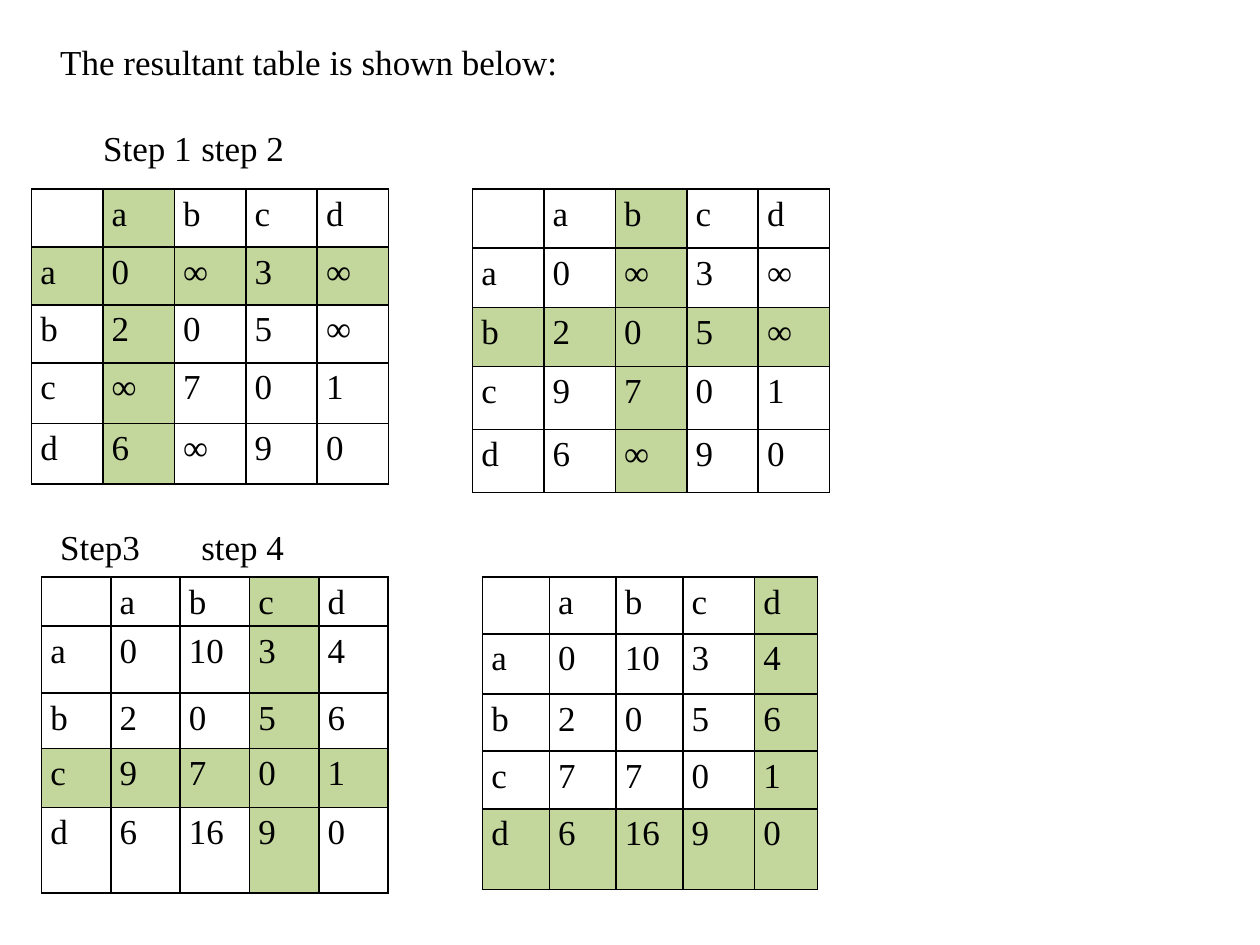
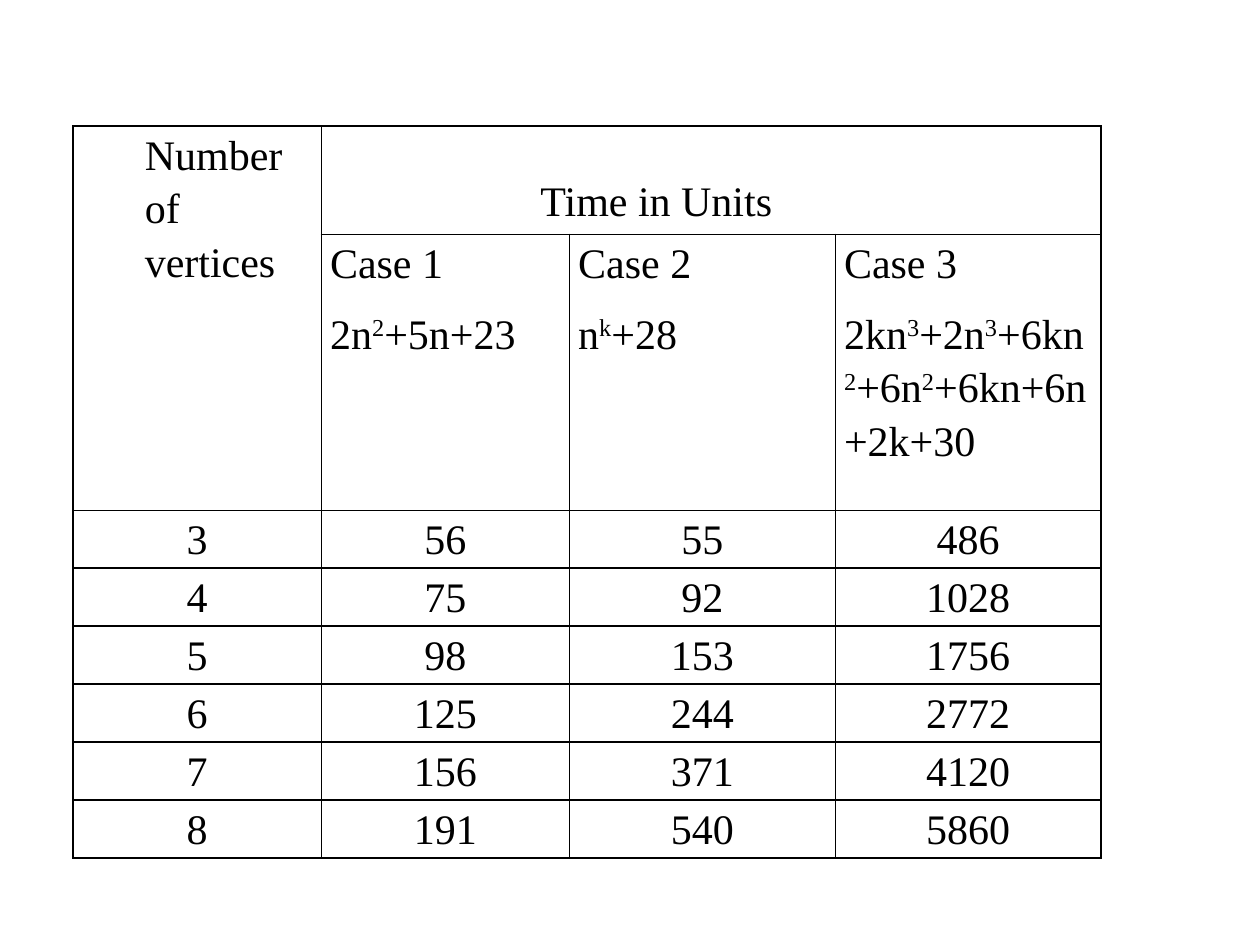
from dataclasses import dataclass

import lxml.etree
import pptx
import pptx.dml.color
import pptx.enum.text
import pptx.oxml
import pptx.oxml.ns
import pptx.util

Inches = pptx.util.Inches
Pt = pptx.util.Pt
Align = pptx.enum.text.PP_ALIGN
qn = pptx.oxml.ns.qn


@dataclass(frozen=True)
class Theme:
    font: str = "Times New Roman"
    ink: str = "000000"
    highlight: str = "C3D69B"
    step_size: int = 20
    timing_size: int = 24
    border: float = 1
    leading: float = 1.15
    cell_inset: float = 0.07


THEME = Theme()


def write(paragraph, pieces, size):
    for position, piece in enumerate(pieces):
        run = paragraph.add_run()
        run.text = piece
        run.font.name = THEME.font
        run.font.size = Pt(size)
        run.font.color.rgb = pptx.dml.color.RGBColor.from_string(THEME.ink)
        if position % 2:
            run._r.get_or_add_rPr().set("baseline", "30000")


def indent(paragraph, margin=0, first=0, tab=None):
    properties = paragraph._p.get_or_add_pPr()
    properties.set("marL", str(Inches(margin)))
    properties.set("indent", str(Inches(first)))
    if tab:
        stops = lxml.etree.SubElement(properties, qn("a:tabLst"))
        lxml.etree.SubElement(stops, qn("a:tab"), pos=str(Inches(tab)), algn="l")


def outline(cell):
    properties = cell._tc.get_or_add_tcPr()
    for side in "LRTB":
        edge = lxml.etree.SubElement(
            properties, qn(f"a:ln{side}"), w=str(Pt(THEME.border)))
        paint = lxml.etree.SubElement(edge, qn("a:solidFill"))
        lxml.etree.SubElement(paint, qn("a:srgbClr"), val=THEME.ink)


def ruled_table(slide, left, top, widths, heights):
    table = slide.shapes.add_table(
        len(heights), len(widths), Inches(left), Inches(top),
        Inches(sum(widths)), Inches(sum(heights))).table
    table.first_row = table.horz_banding = False
    for column, width in zip(table.columns, widths):
        column.width = Inches(width)
    for row, height in zip(table.rows, heights):
        row.height = Inches(height)
    for cell in table.iter_cells():
        cell.margin_left = cell.margin_right = Inches(THEME.cell_inset)
        cell.margin_top = cell.margin_bottom = 0
        outline(cell)
        cell.fill.background()
    return table


def fill_cell(cell, lines, size, align, after=0):
    frame = cell.text_frame
    for position, pieces in enumerate(lines):
        paragraph = frame.add_paragraph() if position else frame.paragraphs[0]
        paragraph.alignment = align
        paragraph.line_spacing = THEME.leading
        paragraph.space_after = Pt(after)
        write(paragraph, pieces, size)
    return frame.paragraphs[0]


def distance_table(slide, left, top, widths, heights, distances, pivot):
    vertices = "abcd"
    table = ruled_table(slide, left, top, widths, heights)
    grid = [["", *vertices]]
    grid += [[vertex, *row.split()] for vertex, row in zip(vertices, distances)]
    for r, row in enumerate(grid):
        for c, value in enumerate(row):
            cell = table.cell(r, c)
            if value:
                fill_cell(cell, [[value]], THEME.step_size, Align.JUSTIFY)
            if pivot in (r, c):
                cell.fill.solid()
                cell.fill.fore_color.rgb = pptx.dml.color.RGBColor.from_string(
                    THEME.highlight)


def captions(slide, left, top, width, height, lines):
    frame = slide.shapes.add_textbox(
        Inches(left), Inches(top), Inches(width), Inches(height)).text_frame
    frame.word_wrap = True
    frame.margin_top = Inches(0.09)
    for position, (text, first, tab, before) in enumerate(lines):
        paragraph = frame.add_paragraph() if position else frame.paragraphs[0]
        paragraph.space_before = Pt(before)
        indent(paragraph, first=first, tab=tab)
        write(paragraph, [text], THEME.step_size)


def steps_slide(slide):
    captions(slide, 0, 0.23, 10, 1.45, [
        ("The resultant table is shown below:", 0.38, None, 0),
        ("Step 1\tstep 2", 0.72, 4.2, 25),
    ])
    captions(slide, 0, 4.08, 5.74, 0.77, [("Step3\tstep 4", 0.38, 4.82, 0)])
    steps = [
        (0.25, 1.5, [0.567] * 5, [0.46, 0.46, 0.46, 0.48, 0.48],
         ["0 ∞ 3 ∞", "2 0 5 ∞", "∞ 7 0 1", "6 ∞ 9 0"]),
        (3.75, 1.5, [0.567] * 5, [0.47, 0.47, 0.47, 0.5, 0.5],
         ["0 ∞ 3 ∞", "2 0 5 ∞", "9 7 0 1", "6 ∞ 9 0"]),
        (0.33, 4.58, [0.55] * 5, [0.39, 0.53, 0.44, 0.47, 0.68],
         ["0 10 3 4", "2 0 5 6", "9 7 0 1", "6 16 9 0"]),
        (3.83, 4.58, [0.53, 0.53, 0.53, 0.57, 0.5],
         [0.45, 0.48, 0.45, 0.46, 0.64],
         ["0 10 3 4", "2 0 5 6", "7 7 0 1", "6 16 9 0"]),
    ]
    for pivot, step in enumerate(steps, start=1):
        distance_table(slide, *step, pivot)


def timing_slide(slide, left, top):
    timings = [
        (3, 56, 55, 486), (4, 75, 92, 1028), (5, 98, 153, 1756),
        (6, 125, 244, 2772), (7, 156, 371, 4120), (8, 191, 540, 5860),
    ]
    formulas = [
        ["2n", "2", "+5n+23"],
        ["n", "k", "+28"],
        ["2kn", "3", "+2n", "3", "+6kn", "2", "+6n", "2", "+6kn+6n+2k+30"],
    ]
    size, after = THEME.timing_size, 10
    table = ruled_table(slide, left, top, [1.97, 1.97, 2.11, 2.11],
                        [0.86, 2.19] + [0.46] * len(timings))
    vertices, units = table.cell(0, 0), table.cell(0, 1)
    vertices.merge(table.cell(1, 0))
    units.merge(table.cell(0, 3))
    indent(fill_cell(vertices, [["Number of vertices"]], size,
                     Align.JUSTIFY, after), margin=0.5)
    units.margin_top = Inches(0.37)
    indent(fill_cell(units, [["Time in Units"]], size, Align.LEFT, after),
           margin=1.67)
    for case, formula in enumerate(formulas, start=1):
        fill_cell(table.cell(1, case), [[f"Case {case}"], formula], size,
                  Align.LEFT, after)
    for r, row in enumerate(timings, start=2):
        for c, value in enumerate(row):
            fill_cell(table.cell(r, c), [[str(value)]], size,
                      Align.CENTER, after)


deck = pptx.Presentation()
deck.slide_width, deck.slide_height = Inches(10), Inches(7.5)
blank = deck.slide_layouts[6]
steps_slide(deck.slides.add_slide(blank))
timing_slide(deck.slides.add_slide(blank), 0.58, 1)
deck.save("out.pptx")
